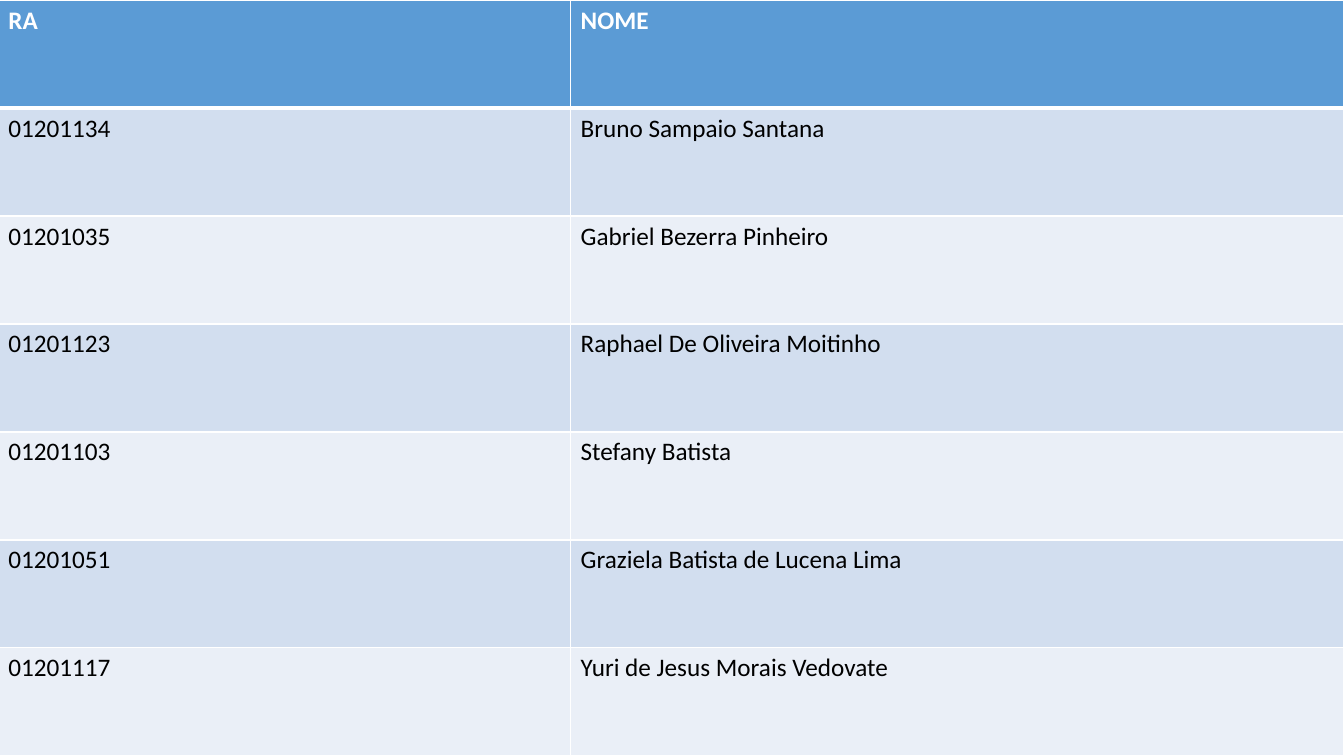
from dataclasses import dataclass
from lxml.etree import SubElement
from pptx import Presentation
from pptx.dml.color import RGBColor
from pptx.oxml.ns import qn
from pptx.util import Cm, Pt


@dataclass
class Theme:
    font: str = "Calibri"
    size: int = 18
    header: str = "5B9BD5"
    bands: tuple = ("D2DEEF", "EAEFF7")
    white: str = "FFFFFF"
    text: str = "000000"
    line: int = 1
    header_line: int = 3


theme = Theme()


def add_border(cell, side, width):
    ln = SubElement(cell._tc.get_or_add_tcPr(), qn(f"a:ln{side}"), w=str(Pt(width)))
    fill = SubElement(ln, qn("a:solidFill"))
    SubElement(fill, qn("a:srgbClr"), val=theme.white)


students = [
    ("RA", "NOME"),
    ("01201134", "Bruno Sampaio Santana "),
    ("01201035", "Gabriel Bezerra Pinheiro"),
    ("01201123", "Raphael De Oliveira Moitinho"),
    ("01201103", "Stefany Batista"),
    ("01201051", "Graziela Batista de Lucena Lima"),
    ("01201117", "Yuri de Jesus Morais Vedovate"),
]
col_widths = [Cm(14.42), Cm(19.48)]

prs = Presentation()
prs.slide_width, prs.slide_height = Cm(33.87), Cm(19.05)
s = prs.slides.add_slide(prs.slide_layouts[6])

table = s.shapes.add_table(
    len(students), len(col_widths), Cm(-0.04), Cm(0), sum(col_widths), prs.slide_height
).table
for col, width in zip(table.columns, col_widths):
    col.width = width

for i, student in enumerate(students):
    is_header = i == 0
    band = theme.header if is_header else theme.bands[(i - 1) % 2]
    for j, value in enumerate(student):
        cell = table.cell(i, j)
        for side in "LRTB":
            thick = (is_header and side == "B") or (i == 1 and side == "T")
            add_border(cell, side, theme.header_line if thick else theme.line)
        cell.fill.solid()
        cell.fill.fore_color.rgb = RGBColor.from_string(band)
        r = cell.text_frame.paragraphs[0].add_run()
        r.text = value
        r.font.name = theme.font
        r.font.size = Pt(theme.size)
        r.font.bold = is_header
        r.font.color.rgb = RGBColor.from_string(theme.white if is_header else theme.text)

prs.save("out.pptx")
